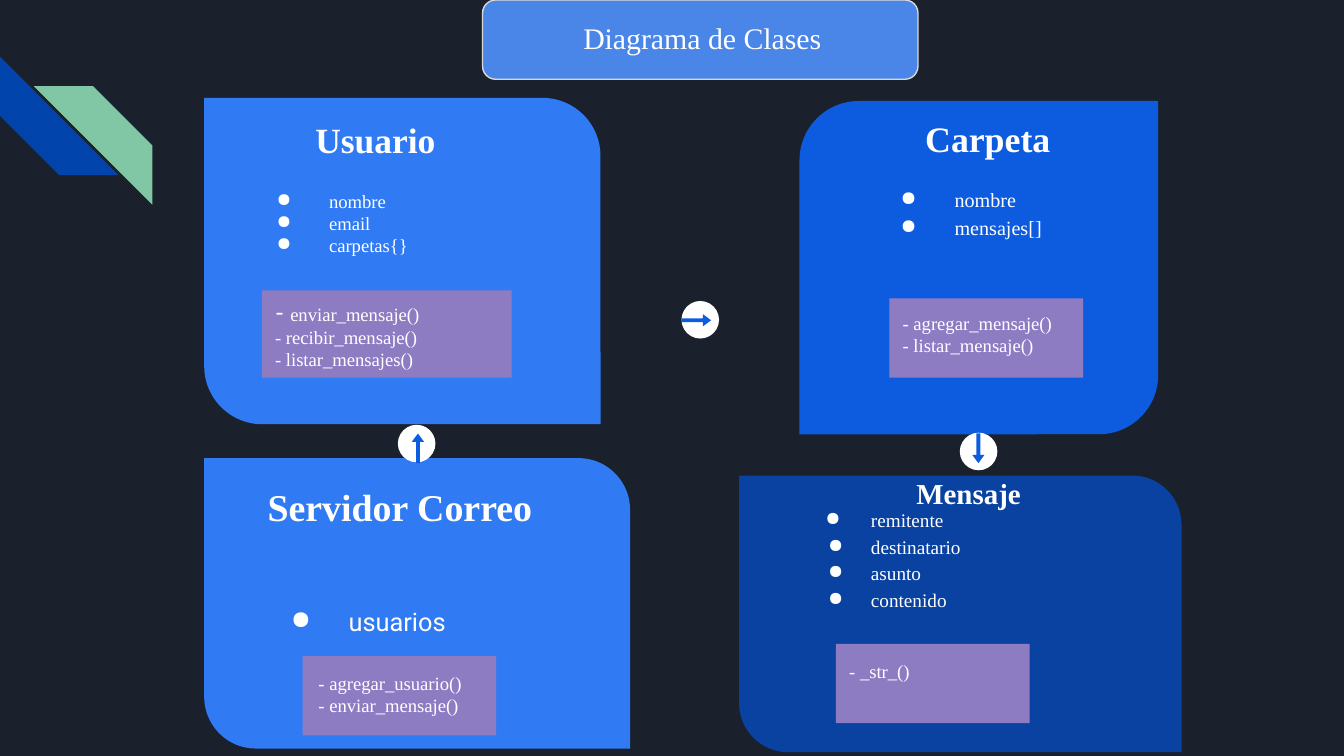
from lxml import etree
from pptx import Presentation
from pptx.dml.color import RGBColor
from pptx.enum.shapes import MSO_SHAPE
from pptx.enum.text import MSO_ANCHOR, MSO_AUTO_SIZE, PP_ALIGN
from pptx.oxml.ns import qn
from pptx.util import Cm, Pt

CARD = MSO_SHAPE.ROUND_2_DIAG_RECTANGLE
STRIPE = MSO_SHAPE.DIAGONAL_STRIPE
RECTANGLE = MSO_SHAPE.RECTANGLE
CIRCLE = MSO_SHAPE.OVAL
ARROW = MSO_SHAPE.RIGHT_ARROW
HEADER = MSO_SHAPE.FLOWCHART_ALTERNATE_PROCESS
LEFT, CENTER = PP_ALIGN.LEFT, PP_ALIGN.CENTER

NIGHT = RGBColor(0x1B, 0x21, 0x2C)
NAVY = RGBColor(0x01, 0x45, 0xAC)
GREEN = RGBColor(0x82, 0xC7, 0xA5)
SKY = RGBColor(0x30, 0x7A, 0xF3)
BLUE = RGBColor(0x0D, 0x5C, 0xDF)
DEEP = RGBColor(0x09, 0x42, 0xA1)
HEADER_BLUE = RGBColor(0x4A, 0x86, 0xE8)
PURPLE = RGBColor(0x8E, 0x7C, 0xC3)
GRAY = RGBColor(0xD9, 0xD9, 0xD9)
WHITE = RGBColor(0xFF, 0xFF, 0xFF)

SERIF = "Times New Roman"
TOP_RIGHT, TOP_LEFT = (0, 0.178), (0.178, 0)  # rounded corner of a card


class ClassDiagram:
    def __init__(self, slide):
        self.slide = slide
        slide.background.fill.solid()
        slide.background.fill.fore_color.rgb = NIGHT

    def shape(self, kind, at, color, adjust=(), turn=0, line=None):
        shape = self.slide.shapes.add_shape(kind, *map(Cm, at))
        shape.shadow.inherit = False
        shape.rotation = turn
        for index, value in enumerate(adjust):
            shape.adjustments[index] = value
        shape.fill.solid()
        shape.fill.fore_color.rgb = color
        if line:
            shape.line.color.rgb = line
            shape.line.width = Pt(0.75)
        else:
            shape.line.fill.background()

    def text(self, at, lines, size, font=SERIF, bold=False, align=LEFT,
             margin=0.25, spacing=1.0, indents=()):
        box = self.slide.shapes.add_textbox(*map(Cm, at))
        self.fill_text(box, lines, size, font, bold, align, margin, spacing, indents)
        return box

    def fill_text(self, box, lines, size, font=SERIF, bold=False, align=LEFT,
                  margin=0.25, spacing=1.0, indents=()):
        frame = box.text_frame
        frame.word_wrap = True
        frame.auto_size = MSO_AUTO_SIZE.NONE
        frame.vertical_anchor = MSO_ANCHOR.TOP
        frame.margin_left = frame.margin_right = Cm(margin)
        frame.margin_top = frame.margin_bottom = Cm(margin)
        frame.text = "\n".join(lines)
        for index, para in enumerate(frame.paragraphs):
            if indents:
                left, first, rest = indents
                self.bullet(para, left, rest if index else first)
            para.alignment = align
            para.line_spacing = spacing
            para.font.name = font
            para.font.size = Pt(size)
            para.font.bold = bold
            para.font.color.rgb = WHITE

    def bullet(self, para, left, hanging):
        properties = para._p.get_or_add_pPr()
        properties.set("marL", str(Cm(left)))
        properties.set("indent", str(-Cm(hanging)))
        color = etree.SubElement(properties, qn("a:buClr"))
        etree.SubElement(color, qn("a:srgbClr"), val=str(WHITE))
        etree.SubElement(properties, qn("a:buChar"), char="●")

    def title(self, at, words, size):
        title = self.slide.shapes.title
        title.left, title.top, title.width, title.height = map(Cm, at)
        self.fill_text(title, [words], size, align=CENTER)
        self.slide.shapes.element.append(title.element)  # in front of its panel

    def methods(self, panel, text_at, lines):
        self.shape(RECTANGLE, panel, PURPLE)
        return self.text(text_at, lines, 10)

    def arrow(self, circle_at, arrow_at, turn):
        self.shape(CIRCLE, (*circle_at, 0.71, 0.71), WHITE)
        self.shape(ARROW, (*arrow_at, 0.56, 0.23), BLUE, (0.32, 0.67), turn)


def main():
    deck = Presentation()
    deck.slide_width, deck.slide_height = Cm(25.4), Cm(14.29)
    diagram = ClassDiagram(deck.slides.add_slide(deck.slide_layouts[5]))

    # Corner stripes
    diagram.shape(STRIPE, (0, 1.07, 2.24, 2.24), NAVY, (0.5,), 270)
    diagram.shape(STRIPE, (0.64, 1.63, 2.24, 2.24), GREEN, (0.5,), 90)

    # Carpeta
    diagram.shape(CARD, (15.11, 1.91, 6.78, 6.3), BLUE, TOP_LEFT)
    diagram.text((16.08, 1.87, 5.18, 1.47), ["Carpeta"], 19.2, bold=True,
                 align=CENTER, margin=0.33)
    diagram.text((16.08, 3.15, 5.18, 1.83), ["nombre", "mensajes[]"], 10.8,
                 margin=0.33, spacing=1.15, indents=(1.63, 1.02, 1.02))

    # Usuario
    diagram.shape(CARD, (3.86, 1.85, 7.49, 6.17), SKY, TOP_RIGHT)
    diagram.text((4.29, 1.9, 5.61, 1.8), ["Usuario"], 19, bold=True,
                 align=CENTER, margin=0.33)
    diagram.text((4.29, 3.25, 5.61, 0.84), ["nombre", "email", "carpetas{}"], 10,
                 margin=0.33, indents=(1.6, 0.99, 0.99))

    # Mensaje
    diagram.shape(CARD, (13.97, 8.99, 8.36, 5.23), DEEP, TOP_RIGHT)
    diagram.text((14.94, 8.74, 6.73, 1.55), ["Mensaje"], 15.5, bold=True, align=CENTER)
    diagram.text((14.94, 9.3, 6.73, 1.7),
                 ["remitente", "destinatario", "asunto", "contenido"], 10.3,
                 spacing=1.15, indents=(1.27, 0.86, 0.81))

    # Servidor Correo
    diagram.shape(CARD, (3.86, 8.66, 8.05, 5.49), SKY, TOP_RIGHT)
    diagram.text((4.7, 8.79, 5.99, 1.6), ["Servidor Correo"], 20.3, bold=True,
                 margin=0.36)
    diagram.text((4.5, 11.1, 5.99, 1.09), ["usuarios"], 13.6, font="Roboto",
                 margin=0.36, indents=(1.73, 1.09, 1.09))

    # Arrows between the classes
    diagram.arrow((18.14, 8.18), (18.21, 8.36), 90)
    diagram.arrow((12.88, 5.69), (12.88, 5.94), 0)
    diagram.arrow((7.52, 8.03), (7.62, 8.36), 270)

    # Method panels
    box = diagram.methods((4.95, 5.49, 4.72, 1.65), (4.95, 5.36, 4.42, 1.65),
                          ["- ", "- recibir_mensaje()", "- listar_mensajes()"])
    first = box.text_frame.paragraphs[0]
    dash, name = first.runs[0], first.add_run()
    dash.font.name, dash.font.size = "Lato", Pt(13)
    name.text = "enviar_mensaje()"
    diagram.methods((16.81, 5.64, 3.66, 1.5), (16.81, 5.64, 3.66, 1.5),
                    ["- agregar_mensaje()", "- listar_mensaje()"])
    diagram.methods((5.72, 12.4, 3.66, 1.5), (5.77, 12.45, 3.66, 1.5),
                    ["- agregar_usuario()", "- enviar_mensaje()"])
    diagram.methods((15.8, 12.17, 3.66, 1.5), (15.8, 12.22, 3.66, 1.3), ["- _str_()"])

    # Heading
    diagram.shape(HEADER, (9.12, 0, 8.23, 1.5), HEADER_BLUE, line=GRAY)
    diagram.title((9.25, 0.13, 8.05, 1.3), "Diagrama de Clases", 16)

    deck.save("out.pptx")


if __name__ == "__main__":
    main()
